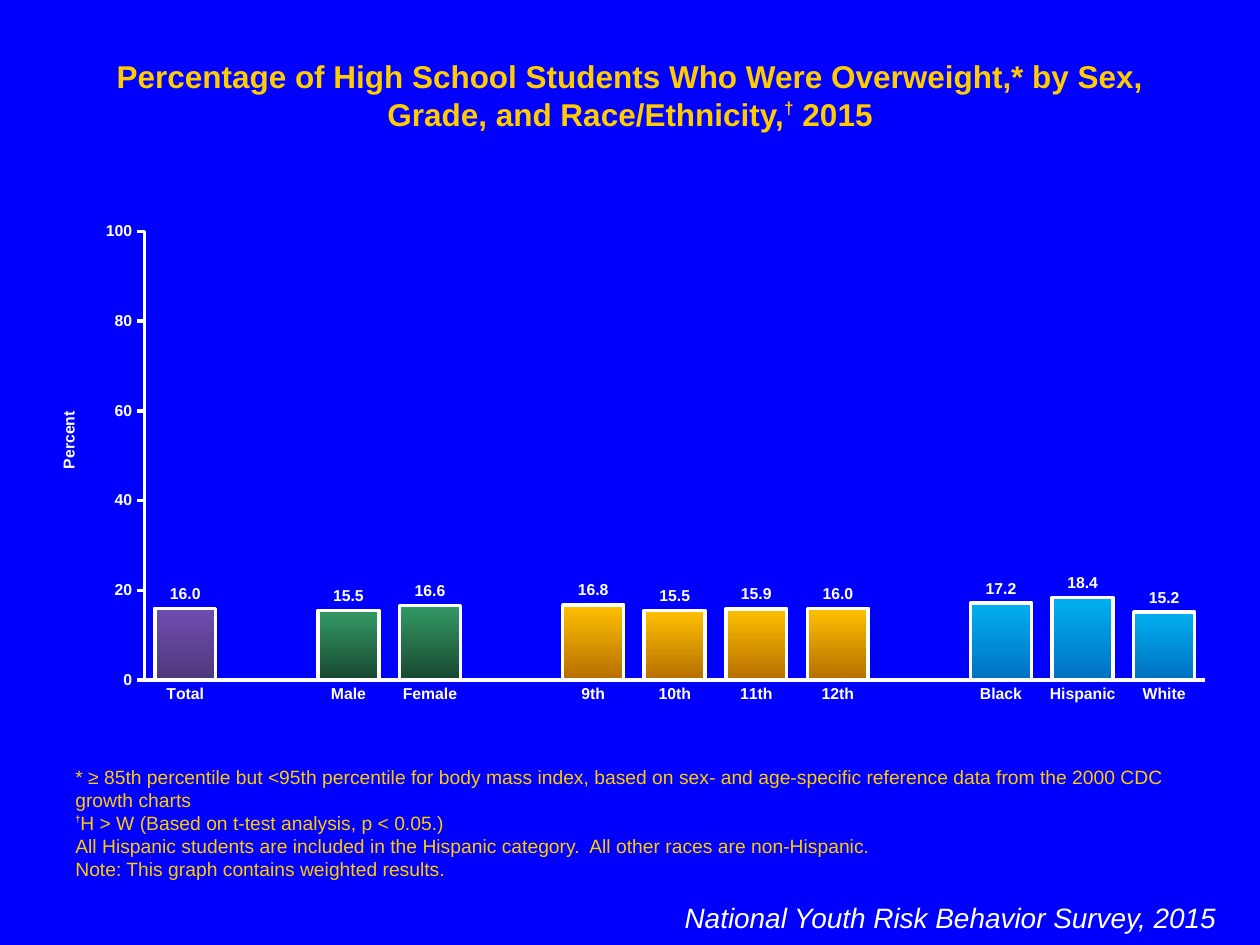
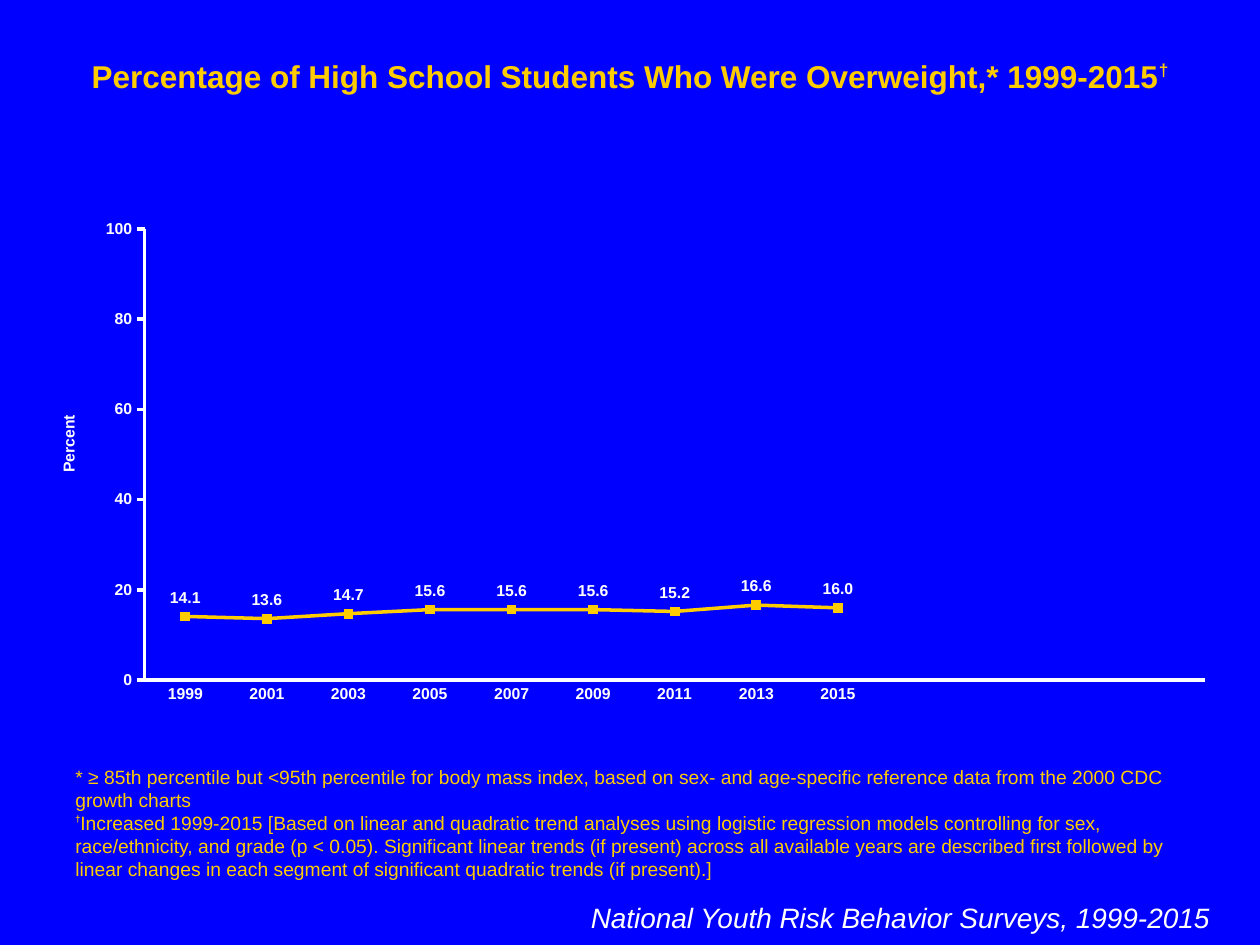
"""Build two survey slides on overweight high school students: a column chart and a trend line."""
from dataclasses import dataclass
from lxml.etree import SubElement
from pptx import Presentation
from pptx.chart.data import CategoryChartData
from pptx.dml.color import RGBColor
from pptx.enum.chart import XL_CHART_TYPE, XL_LABEL_POSITION, XL_MARKER_STYLE, XL_TICK_MARK
from pptx.enum.text import MSO_ANCHOR, MSO_AUTO_SIZE, PP_ALIGN
from pptx.oxml.ns import qn
from pptx.util import Pt

PX = 9144


@dataclass(frozen=True)
class Theme:
    font: str = "Arial"
    background: RGBColor = RGBColor.from_string("0000FF")
    accent: RGBColor = RGBColor.from_string("FFCC00")
    white: RGBColor = RGBColor.from_string("FFFFFF")
    purple: tuple = ("6E4EAE", "4F387C")
    green: tuple = ("339966", "18472F")
    gold: tuple = ("FFC000", "B66D00")
    blue: tuple = ("00B0F0", "0070C0")
    title_size: int = 18
    title_mark_size: int = 17
    note_size: int = 11
    note_mark_size: int = 9
    source_size: int = 16
    chart_size: int = 18
    label_size: int = 9
    line_width: int = 2


theme = Theme()


def add_runs(para, texts, size, color, mark_size=None, mark_base=0, bold=False, italic=False):
    for text in texts:
        is_mark = text == "†"
        span = para.add_run()
        span.text = text
        span.font.name = theme.font
        span.font.size = Pt(mark_size if is_mark else size)
        span.font.bold = bold or is_mark
        span.font.italic = italic
        span.font.color.rgb = color
        if is_mark:
            span._r.get_or_add_rPr().set("baseline", str(mark_base * 1000))


def place_in_chart(element, index, target, **fractions):
    for old_layout in element.findall(qn("c:layout")):
        element.remove(old_layout)
    layout = SubElement(element, qn("c:layout"))
    element.insert(index, layout)
    manual = SubElement(layout, qn("c:manualLayout"))
    if target:
        SubElement(manual, qn("c:layoutTarget")).set("val", target)
    for mode in ("xMode", "yMode"):
        SubElement(manual, qn(f"c:{mode}")).set("val", "edge")
    for name, fraction in fractions.items():
        SubElement(manual, qn(f"c:{name}")).set("val", str(fraction))


percentile_note = ["* ≥ 85th percentile but <95th percentile for body mass index, based on sex- and "
                   "age-specific reference data from the 2000 CDC growth charts"]
pages = [
    dict(
        title=["Percentage of High School Students Who Were Overweight,* by Sex, Grade, and "
               "Race/Ethnicity,", "†", " 2015"],
        notes=[percentile_note,
               ["†", "H > W (Based on t-test analysis, p < 0.05.)"],
               ["All Hispanic students are included in the Hispanic category.  "
                "All other races are non-Hispanic."],
               ["Note: This graph contains weighted results."]],
        source="National Youth Risk Behavior Survey, 2015",
        source_box=(425, 710, 550, 37),
        chart_box=(25, 169, 950, 398),
        chart_type=XL_CHART_TYPE.COLUMN_CLUSTERED,
        label_position=XL_LABEL_POSITION.OUTSIDE_END,
        axis_title_top=0.39,
        categories=["Total", "", "Male", "Female", "", "9th", "10th", "11th", "12th", "",
                    "Black", "Hispanic", "White"],
        values=[16, None, 15.5, 16.6, None, 16.8, 15.5, 15.9, 16, None, 17.2, 18.4, 15.2],
    ),
    dict(
        title=["Percentage of High School Students Who Were Overweight,* 1999-2015", "†"],
        notes=[percentile_note,
               ["†", "Increased 1999-2015 [Based on linear and quadratic trend analyses using "
                "logistic regression models controlling for sex, race/ethnicity, and grade "
                "(p < 0.05). Significant linear trends (if present) across all available years "
                "are described first followed by linear changes in each segment of significant "
                "quadratic trends (if present).]"]],
        source="National Youth Risk Behavior Surveys, 1999-2015",
        source_box=(453, 710, 517, 37),
        chart_box=(25, 167, 950, 400),
        chart_type=XL_CHART_TYPE.LINE_MARKERS,
        label_position=XL_LABEL_POSITION.ABOVE,
        axis_title_top=0.4,
        categories=[str(year) for year in range(1999, 2016, 2)] + [""] * 4,
        values=[14.1, 13.6, 14.7, 15.6, 15.6, 15.6, 15.2, 16.6, 16] + [None] * 4,
    ),
]
group_gradients = [theme.purple, theme.green, theme.gold, theme.blue]

deck = Presentation()
deck.slide_width, deck.slide_height = 1000 * PX, 750 * PX
master_fill = deck.slide_master.background.fill
master_fill.solid()
master_fill.fore_color.rgb = theme.background

for content in pages:
    page = deck.slides.add_slide(deck.slide_layouts[5])

    title = page.shapes.title
    title.left, title.top, title.width, title.height = 50 * PX, 40 * PX, 900 * PX, 70 * PX
    title_frame = title.text_frame
    title_frame.auto_size = MSO_AUTO_SIZE.NONE
    title_frame.vertical_anchor = MSO_ANCHOR.TOP
    title_para = title_frame.paragraphs[0]
    title_para.alignment = PP_ALIGN.CENTER
    add_runs(title_para, content["title"], theme.title_size, theme.accent,
             theme.title_mark_size, 40, bold=True)

    note_box = page.shapes.add_textbox(50 * PX, 600 * PX, 900 * PX, 104 * PX)
    note_frame = note_box.text_frame
    note_frame.word_wrap = True
    note_frame.vertical_anchor = MSO_ANCHOR.BOTTOM
    for index, note in enumerate(content["notes"]):
        para = note_frame.add_paragraph() if index else note_frame.paragraphs[0]
        add_runs(para, note, theme.note_size, theme.accent, theme.note_mark_size, 50)

    source_box = page.shapes.add_textbox(*(length * PX for length in content["source_box"]))
    source_box.text_frame.word_wrap = True
    source_para = source_box.text_frame.paragraphs[0]
    source_para.alignment = PP_ALIGN.RIGHT
    add_runs(source_para, [content["source"]], theme.source_size, theme.white, italic=True)

    chart_data = CategoryChartData()
    chart_data.categories = content["categories"]
    chart_data.add_series("Series 1", content["values"])
    chart_box = (length * PX for length in content["chart_box"])
    chart = page.shapes.add_chart(content["chart_type"], *chart_box, chart_data).chart
    chart.has_title = False
    chart.has_legend = False
    chart.font.name = theme.font
    chart.font.size = Pt(theme.chart_size)
    chart.font.color.rgb = theme.white
    plot_area = chart._chartSpace.chart.plotArea
    place_in_chart(plot_area, 0, "inner", x=0.0944, y=0.037, w=0.886, h=0.895)

    value_axis, category_axis = chart.value_axis, chart.category_axis
    value_axis.minimum_scale, value_axis.maximum_scale = 0, 100
    value_axis.major_unit = 20
    value_axis.tick_labels.number_format = "#,##0"
    value_axis.tick_labels.number_format_is_linked = False
    axis_title = value_axis.axis_title
    add_runs(axis_title.text_frame.paragraphs[0], ["Percent"], theme.label_size, theme.white,
             bold=True)
    place_in_chart(axis_title._element, 1, None, x=0.02, y=content["axis_title_top"])

    plot = chart.plots[0]
    plot.vary_by_categories = False
    series = plot.series[0]
    labels = series.data_labels
    labels.show_value = True
    labels.number_format = "#,##0.0"
    labels.number_format_is_linked = False
    labels.position = content["label_position"]

    for axis, tick in ((value_axis, XL_TICK_MARK.OUTSIDE), (category_axis, XL_TICK_MARK.NONE)):
        axis.has_major_gridlines = False
        axis.major_tick_mark = tick
        axis.minor_tick_mark = XL_TICK_MARK.NONE
        axis.format.line.color.rgb = theme.white
        axis.format.line.width = Pt(theme.line_width)
    for font in (value_axis.tick_labels.font, category_axis.tick_labels.font, labels.font):
        font.name = theme.font
        font.size = Pt(theme.label_size)
        font.bold = True
        font.color.rgb = theme.white

    if content["chart_type"] == XL_CHART_TYPE.COLUMN_CLUSTERED:
        plot.gap_width, plot.overlap = 34, 100
        series.format.line.color.rgb = theme.white
        series.format.line.width = Pt(theme.line_width)
        group = 0
        for index, category in enumerate(content["categories"]):
            if not category:
                group += 1
                continue
            bar = series.points[index].format
            bar.fill.gradient()
            bar.fill.gradient_angle = 270
            for stop, color in zip(bar.fill.gradient_stops, group_gradients[group]):
                stop.color.rgb = RGBColor.from_string(color)
            bar.line.color.rgb = theme.white
            bar.line.width = Pt(theme.line_width)
    else:
        series.smooth = False
        series.format.line.color.rgb = theme.accent
        series.format.line.width = Pt(theme.line_width)
        series.marker.style = XL_MARKER_STYLE.SQUARE
        series.marker.size = 5
        series.marker.format.fill.solid()
        series.marker.format.fill.fore_color.rgb = theme.accent
        series.marker.format.line.color.rgb = theme.accent

deck.save("out.pptx")
